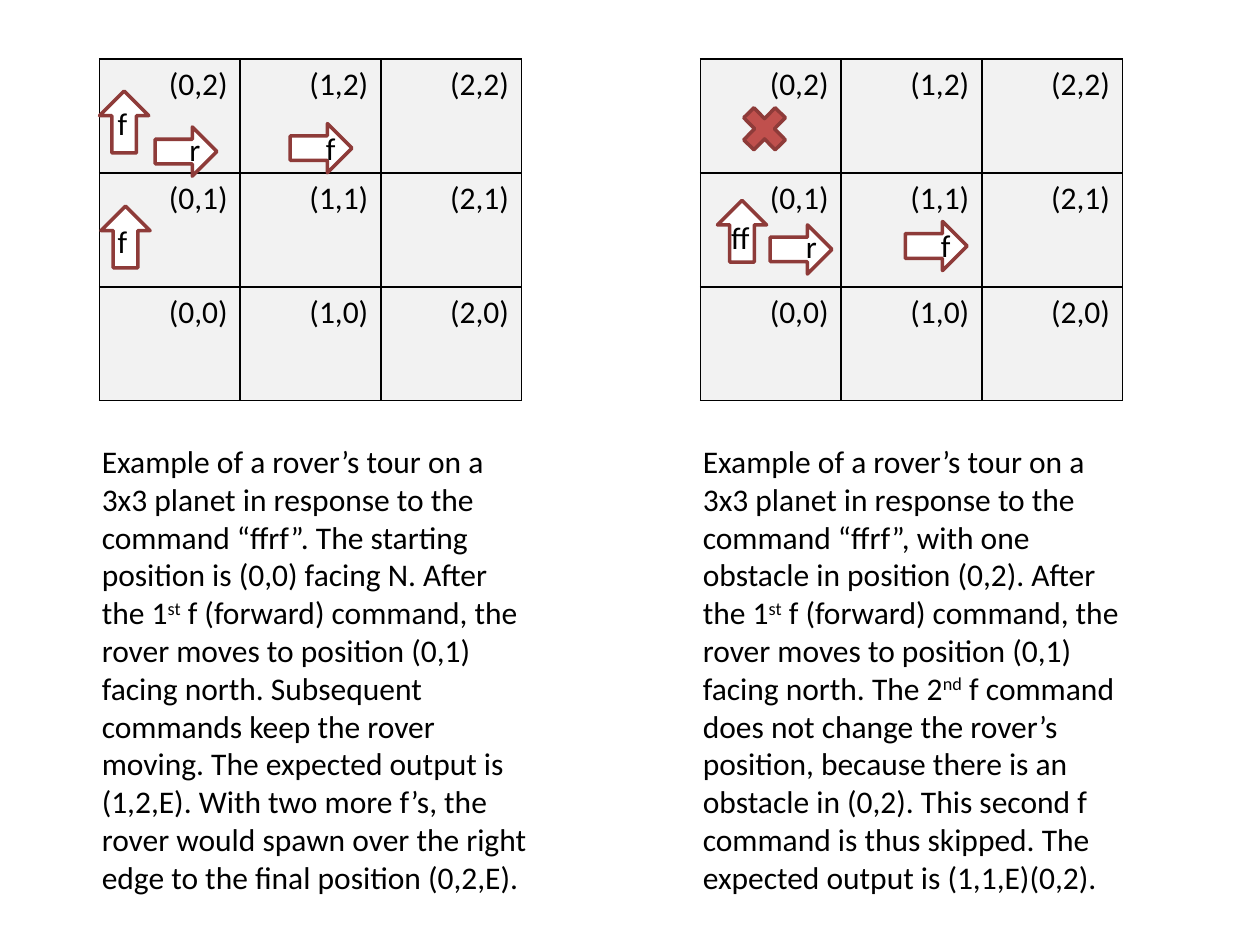
from lxml import etree
from pptx import Presentation
from pptx.dml.color import RGBColor
from pptx.enum.shapes import MSO_SHAPE
from pptx.enum.text import MSO_AUTO_SIZE, PP_ALIGN
from pptx.oxml.ns import qn
from pptx.util import Inches, Pt

UP = MSO_SHAPE.UP_ARROW
CROSS = MSO_SHAPE.MATH_MULTIPLY
FIT = MSO_AUTO_SIZE.SHAPE_TO_FIT_TEXT
LEFT, RIGHT = PP_ALIGN.LEFT, PP_ALIGN.RIGHT

HUES = {"ink": "000000", "cell": "F2F2F2", "edge": "8E3B39",
        "white": "FFFFFF", "red": "C0504D"}
SIZE = 3
COL, ROW = 3.35 / SIZE, 2.71 / SIZE
TOP = 0.47


def write(frame, *parts, size=18, font="Calibri", hue="ink", align=LEFT, wrap=True):
    frame.word_wrap = wrap
    line = frame.paragraphs[0]
    line.alignment = align
    for part in parts:
        run = line.add_run()
        run.text = part
        run.font.size = Pt(size)
        run.font.name = font
        run.font.color.rgb = RGBColor.from_string(HUES[hue])
        if part in ("st", "nd"):
            run.font._element.set("baseline", "30000")


def mark(kind, x, y, wide, fill, turn=0):
    shape = slide.shapes.add_shape(kind, Inches(x), Inches(y), Inches(wide), Inches(0.49))
    shape.rotation = turn
    shape.shadow.inherit = False
    shape.fill.solid()
    shape.fill.fore_color.rgb = RGBColor.from_string(HUES[fill])
    shape.line.color.rgb = RGBColor.from_string(HUES["edge"])
    shape.line.width = Pt(2)


tours = [
    {"left": 0.79,
     "moves": [("f", 0, 0.01, 1.29, 0.04, 1.38), ("f", 0, 0, 0.28, 0.04, 0.34),
               ("r", 90, 0.44, 0.54, 0.55, 0.57), ("f", 90, 1.4, 0.51, 1.52, 0.56)],
     "rocks": [],
     "text": ["Example of a rover’s tour on a 3x3 planet in response to the command “ffrf”. "
              "The starting position is (0,0) facing N. After the 1", "st",
              " f (forward) command, the rover moves to position (0,1) facing north. "
              "Subsequent commands keep the rover moving. The expected output is (1,2,E). "
              "With two more f’s, the rover would spawn over the right edge to the final "
              "position (0,2,E)."]},
    {"left": 5.56,
     "moves": [("ff", 0, 0.12, 1.24, 0.13, 1.34), ("r", 90, 0.54, 1.4, 0.66, 1.42),
               ("f", 90, 1.5, 1.37, 1.62, 1.41)],
     "rocks": [(0.24, 0.34)],
     "text": ["Example of a rover’s tour on a 3x3 planet in response to the command “ffrf”, "
              "with one obstacle in position (0,2). After the 1", "st",
              " f (forward) command, the rover moves to position (0,1) facing north. The 2",
              "nd", " f command does not change the rover’s position, because there is an "
              "obstacle in (0,2). This second f command is thus skipped. The expected "
              "output is (1,1,E)(0,2)."]},
]

deck = Presentation()
deck.slide_width, deck.slide_height = Inches(10), Inches(7.5)
slide = deck.slides.add_slide(deck.slide_layouts[6])

for tour in tours:
    left = tour["left"]
    grid = slide.shapes.add_table(SIZE, SIZE, Inches(left), Inches(TOP),
                                  Inches(COL * SIZE), Inches(ROW * SIZE)).table
    grid.first_row = grid.horz_banding = False
    for row in range(SIZE):
        for col in range(SIZE):
            cell = grid.cell(row, col)
            write(cell.text_frame, f"({col},{SIZE - 1 - row})", align=RIGHT)
            props = cell._tc.get_or_add_tcPr()
            for side in ("lnL", "lnR", "lnT", "lnB"):
                edge = etree.SubElement(props, qn(f"a:{side}"), w=str(Pt(1)))
                paint = etree.SubElement(edge, qn("a:solidFill"))
                etree.SubElement(paint, qn("a:srgbClr"), val=HUES["ink"])
            cell.fill.solid()
            cell.fill.fore_color.rgb = RGBColor.from_string(HUES["cell"])

    for name, turn, x, y, tx, ty in tour["moves"]:
        mark(UP, left + x * COL, TOP + y * ROW, 0.39, "white", turn)
    for name, turn, x, y, tx, ty in tour["moves"]:
        box = slide.shapes.add_textbox(Inches(left + tx * COL), Inches(TOP + ty * ROW),
                                       Inches(0.22 + 0.07 * len(name)), Inches(0.4))
        write(box.text_frame, name, wrap=False)
        box.text_frame.auto_size = FIT
    for x, y in tour["rocks"]:
        mark(CROSS, left + x * COL, TOP + y * ROW, 0.48, "red")

    box = slide.shapes.add_textbox(Inches(left - 0.08), Inches(3.46), Inches(3.6), Inches(3.74))
    write(box.text_frame, *tour["text"])
    box.text_frame.auto_size = FIT

deck.save("out.pptx")
